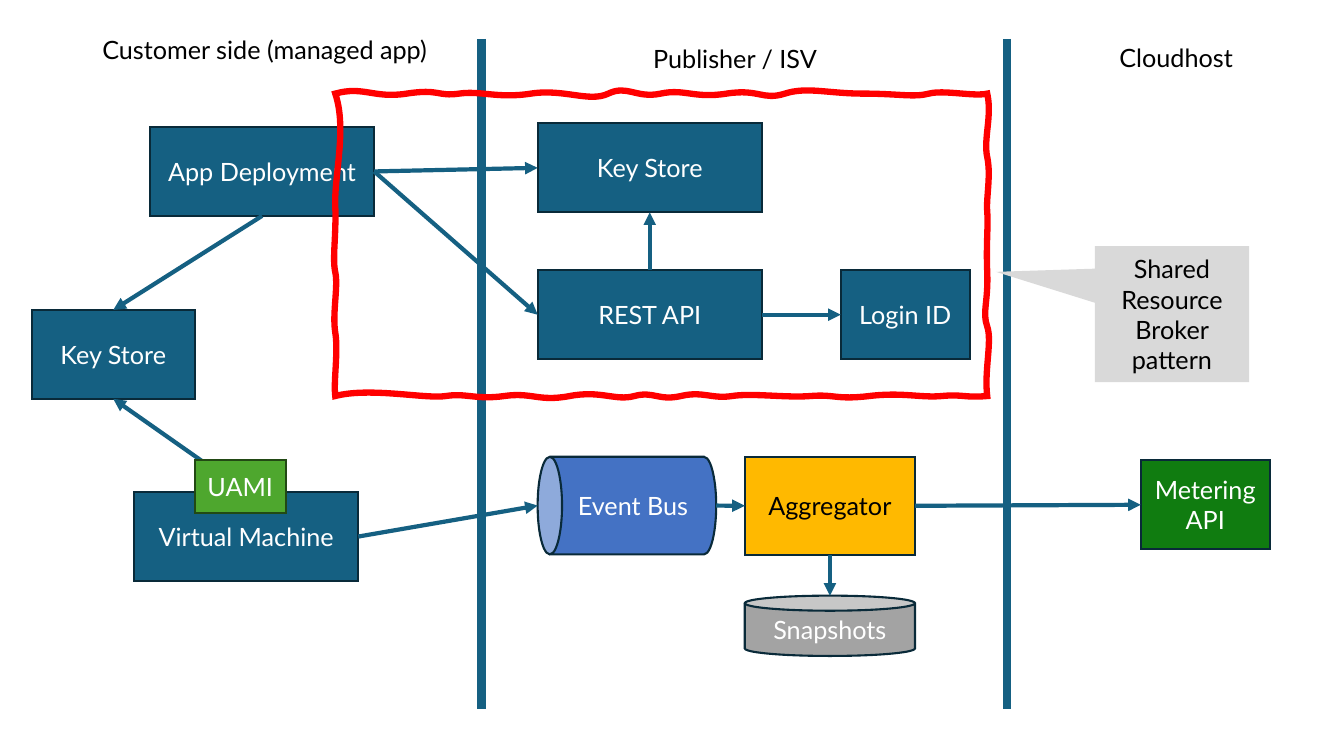
from dataclasses import dataclass

from lxml import etree
from pptx import Presentation, util as u
from pptx.dml.color import RGBColor
from pptx.enum import shapes, text
from pptx.oxml.ns import qn

COLORS = {
    "blue": "156082", "navy": "092A39", "white": "FFFFFF", "black": "000000",
    "hub": "4472C4", "amber": "FFB900", "gray": "A3A3A3", "green": "107C10",
    "lime": "4EA72E", "moss": "224914", "silver": "D9D9D9", "red": "FF0000",
}
RECT, CAN = shapes.MSO_SHAPE.RECTANGLE, shapes.MSO_SHAPE.CAN
CALLOUT = shapes.MSO_SHAPE.RECTANGULAR_CALLOUT
TOP, LEFT, BOTTOM, RIGHT = range(4)
Point = tuple[float, float]


@dataclass
class Box:
    """A labelled shape; lengths are in cm as seen on the slide."""
    label: str
    x: float
    y: float
    w: float = 5.65
    h: float = 2.24
    fill: str = "blue"
    line: str | None = "navy"
    color: str = "white"
    kind: int = RECT
    turned: bool = False

    def port(self, side: int) -> Point:
        cx, cy = self.x + self.w / 2, self.y + self.h / 2
        return ((cx, self.y), (self.x, cy), (cx, self.y + self.h), (self.x + self.w, cy))[side]


@dataclass
class Link:
    src: str
    src_side: int
    dst: str
    dst_side: int


@dataclass
class Edge:
    """A wavy edge: first handle, then (handle, sway, end) along its direction."""
    start: Point
    direction: tuple[int, int]
    handle: Point
    waves: list[tuple[float, float, float]]


HEADINGS = [
    ("Customer side (managed app)", 0.56, 0.73, 12.22),
    ("Publisher / ISV", 13.38, 0.97, 10.29),
    ("Cloudhost", 25.98, 0.94, 7.32),
]
DIVIDERS = [12.13, 25.37]
BOXES = {
    "vault": Box("Key Store", 13.55, 3.11),
    "api": Box("REST API", 13.55, 6.81),
    "login": Box("Login ID", 21.19, 6.81, 3.25),
    "deploy": Box("App Deployment", 3.78, 3.2),
    "own_vault": Box("Key Store", 0.8, 7.81, 4.11),
    "vm": Box("Virtual Machine", 3.38, 12.4),
    "hub": Box("Event Bus", 13.55, 11.51, 4.5, 2.46, "hub", kind=CAN, turned=True),
    "aggregator": Box("Aggregator", 18.77, 11.51, 4.29, 2.47, "amber", color="black"),
    "snapshots": Box("Snapshots", 18.77, 15.01, 4.29, 1.52, "gray", kind=CAN),
    "metering": Box("Metering API", 28.75, 11.6, 3.25, fill="green"),
}
IDENTITY = Box("UAMI", 4.91, 11.59, 2.29, 1.35, "lime", "moss")
PATTERN = Box("Shared Resource Broker pattern", 27.59, 6.2, 3.89, 3.43,
              "silver", None, "black", CALLOUT)
LINKS = [
    Link("api", TOP, "vault", BOTTOM),
    Link("api", RIGHT, "login", LEFT),
    Link("aggregator", BOTTOM, "snapshots", TOP),
    Link("hub", RIGHT, "aggregator", LEFT),
    Link("aggregator", RIGHT, "metering", LEFT),
    Link("vm", RIGHT, "hub", LEFT),
    Link("deploy", RIGHT, "api", LEFT),
    Link("deploy", RIGHT, "vault", LEFT),
    Link("deploy", BOTTOM, "own_vault", TOP),
    Link("vm", TOP, "own_vault", BOTTOM),
]
FRAME = [
    Edge((8.45, 2.36), (1, 0), (0.71, -0.2), [
        (0.97, 0.13, 1.8), (2.57, 0.08, 3.12), (4.09, 0.13, 4.93), (6.4, 0.23, 6.88),
        (7.59, 0.13, 8.2), (9.04, 0.13, 9.86), (10.77, 0.18, 11.33), (12.42, 0, 13.31),
        (14.58, 0.1, 14.96), (16.1, 0.08, 16.43)]),
    Edge((24.88, 2.36), (0, 1), (0.56, 0.13), [
        (1.14, -0.1, 1.6), (2.62, -0.03, 2.97), (3.76, -0.03, 4.5), (5.51, -0.13, 5.87),
        (6.99, -0.08, 7.62)]),
    Edge((24.88, 9.98), (-1, 0), (0.58, 0.05), [
        (0.61, -0.05, 1.14), (2.13, -0.1, 2.97), (3.84, -0.05, 4.45), (5.92, -0.08, 6.43),
        (7.16, -0.13, 7.72), (8.41, -0.13, 8.89), (9.73, -0.15, 10.52),
        (11.46, -0.1, 12.17), (13.13, -0.08, 13.64), (15.54, -0.23, 16.43)]),
    Edge((8.45, 9.98), (0, -1), (0.36, -0.05), [
        (1.12, 0.08, 1.6), (2.77, 0.08, 3.12), (4.04, 0.03, 4.8), (6.73, 0.3, 7.62)]),
]


def rgb(name: str) -> RGBColor:
    return RGBColor.from_string(COLORS[name])


def write(tf, label: str, color: str) -> None:
    tf.word_wrap = True
    p = tf.paragraphs[0]
    p.text = label
    p.alignment = text.PP_ALIGN.CENTER
    r = p.runs[0]
    r.font.size, r.font.name = u.Pt(18), "Lato"
    r.font.color.rgb = rgb(color)


def stroke(sp, color: str, width: float):
    """Set a mitred line and return its XML element."""
    sp.line.color.rgb, sp.line.width = rgb(color), u.Pt(width)
    ln = sp.element.spPr.find(qn("a:ln"))
    etree.SubElement(ln, qn("a:miter")).set("lim", "800000")
    return ln


def add_heading(s, label: str, x: float, y: float, w: float) -> None:
    tf = s.shapes.add_textbox(u.Cm(x), u.Cm(y), u.Cm(w), u.Cm(1.03)).text_frame
    write(tf, label, "black")
    tf.auto_size = text.MSO_AUTO_SIZE.SHAPE_TO_FIT_TEXT


def add_box(s, box: Box):
    w, h = (box.h, box.w) if box.turned else (box.w, box.h)
    x, y = box.x + (box.w - w) / 2, box.y + (box.h - h) / 2
    sp = s.shapes.add_shape(box.kind, u.Cm(x), u.Cm(y), u.Cm(w), u.Cm(h))
    sp.fill.solid()
    sp.fill.fore_color.rgb = rgb(box.fill)
    if box.line:
        stroke(sp, box.line, 1.5)
    else:
        sp.line.fill.background()
    sp.shadow.inherit = False
    write(sp.text_frame, box.label, box.color)
    sp.text_frame.vertical_anchor = text.MSO_ANCHOR.MIDDLE
    if box.turned:
        sp.rotation = 270
        sp.element.txBody.find(qn("a:bodyPr")).set("vert", "vert")
    return sp


def add_line(s, start: Point, end: Point, width: float):
    cxn = s.shapes.add_connector(shapes.MSO_CONNECTOR.STRAIGHT,
                                 *(u.Cm(v) for v in (*start, *end)))
    ln = stroke(cxn, "blue", width)
    etree.SubElement(cxn.element.spPr, qn("a:effectLst"))
    return cxn, ln


def add_link(s, link: Link, drawn: dict) -> None:
    src, dst = BOXES[link.src], BOXES[link.dst]
    cxn, ln = add_line(s, src.port(link.src_side), dst.port(link.dst_side), 3)
    etree.SubElement(ln, qn("a:tailEnd")).set("type", "triangle")
    if src.kind == RECT:
        cxn.begin_connect(drawn[link.src], link.src_side)
    if dst.kind == RECT:
        cxn.end_connect(drawn[link.dst], link.dst_side)


def edge_curves(edge: Edge) -> list[list[Point]]:
    """Give two handles and an end per wave; each handle mirrors the one before it."""
    (x0, y0), (dx, dy) = edge.start, edge.direction
    curves, handle = [], edge.handle
    for along, sway, stop in edge.waves:
        curves.append([(u.Cm(x0 + a * dx + b * abs(dy)), u.Cm(y0 + a * dy + b * abs(dx)))
                       for a, b in (handle, (along, sway), (stop, 0))])
        handle = (2 * stop - along, -sway)
    return curves


def add_frame(s) -> None:
    curves = [curve for edge in FRAME for curve in edge_curves(edge)]
    left, top = (u.Cm(v) for v in FRAME[0].start)
    builder = s.shapes.build_freeform(left, top)
    builder.add_line_segments([curve[-1] for curve in curves], close=True)
    sp = builder.convert_to_shape()
    for segment, curve in zip(list(sp.element.iter(qn("a:lnTo"))), curves):
        bezier = etree.Element(qn("a:cubicBezTo"))
        for x, y in curve:
            etree.SubElement(bezier, qn("a:pt"), x=str(x - left), y=str(y - top))
        segment.getparent().replace(segment, bezier)
    sp.fill.background()
    stroke(sp, "red", 4.5)
    sp.shadow.inherit = False


def main() -> None:
    prs = Presentation()
    prs.slide_width, prs.slide_height = u.Cm(33.87), u.Cm(19.05)
    s = prs.slides.add_slide(prs.slide_layouts[6])

    # Columns
    for x in DIVIDERS:
        add_line(s, (x, 0.98), (x, 17.87), 6)
    for heading in HEADINGS:
        add_heading(s, *heading)

    # Components and their flows
    drawn = {key: add_box(s, box) for key, box in BOXES.items()}
    for link in LINKS:
        add_link(s, link, drawn)
    add_box(s, IDENTITY)

    # Highlighted pattern
    add_frame(s)
    callout = add_box(s, PATTERN)
    callout.adjustments[0], callout.adjustments[1] = -1.14, -0.31

    prs.save("out.pptx")


if __name__ == "__main__":
    main()
